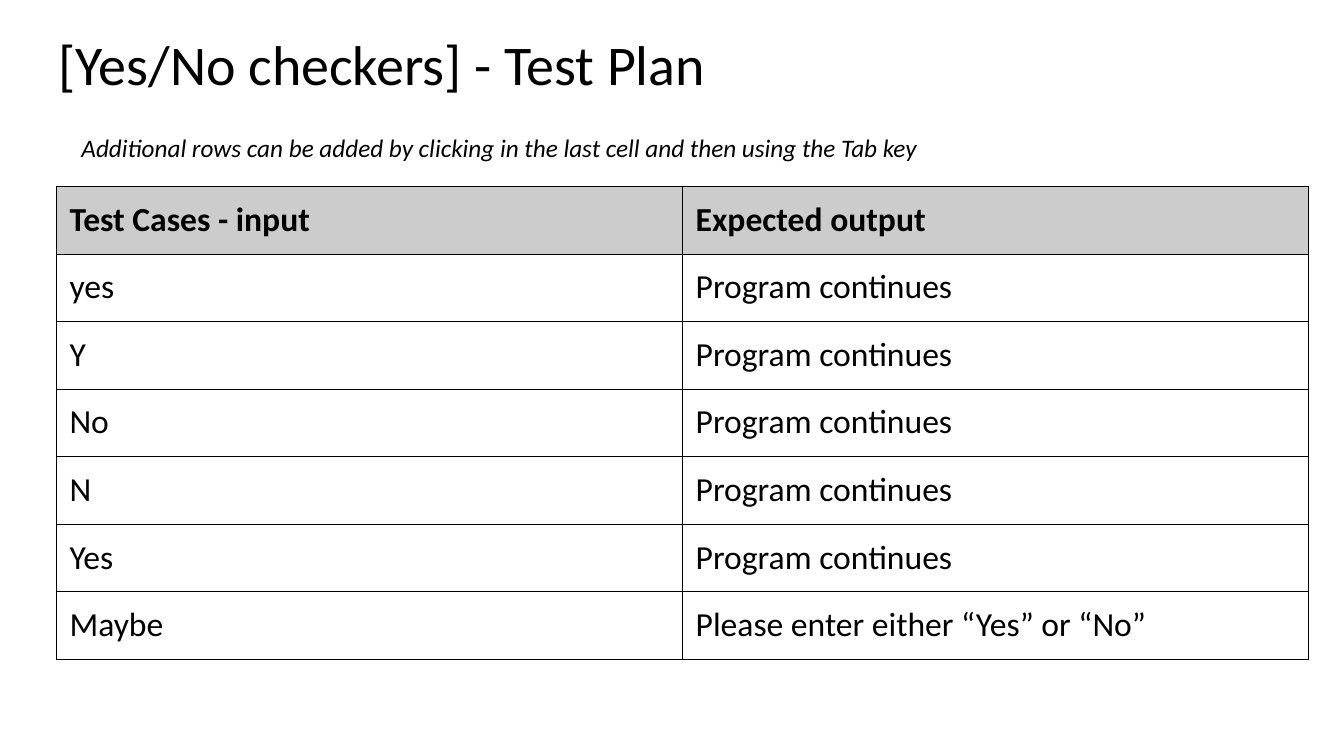
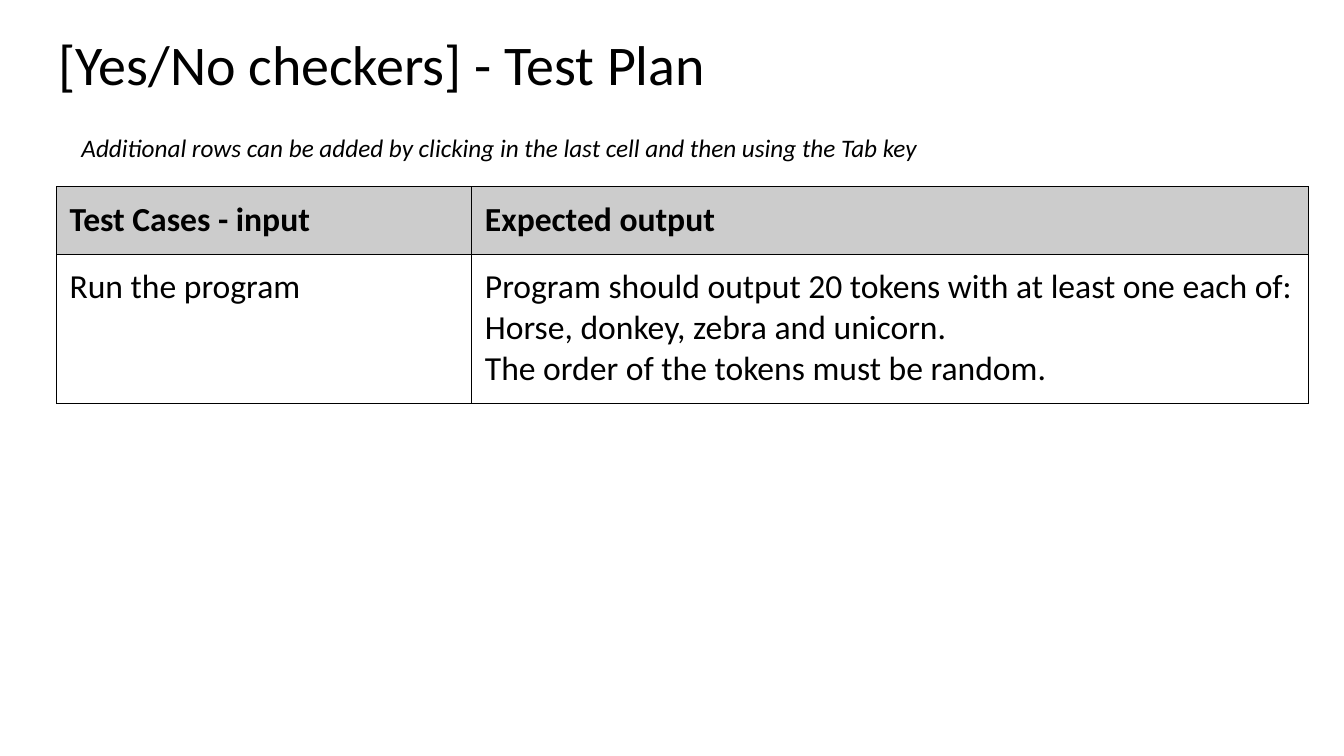
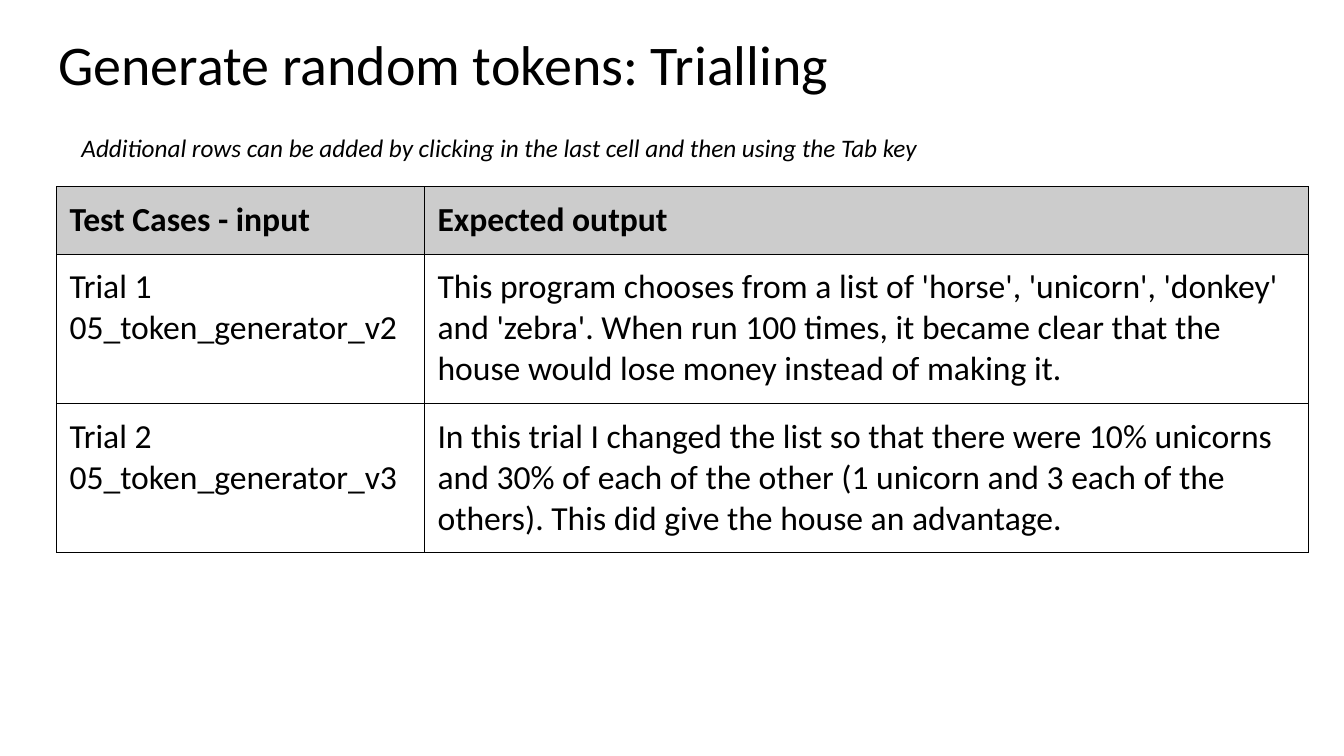
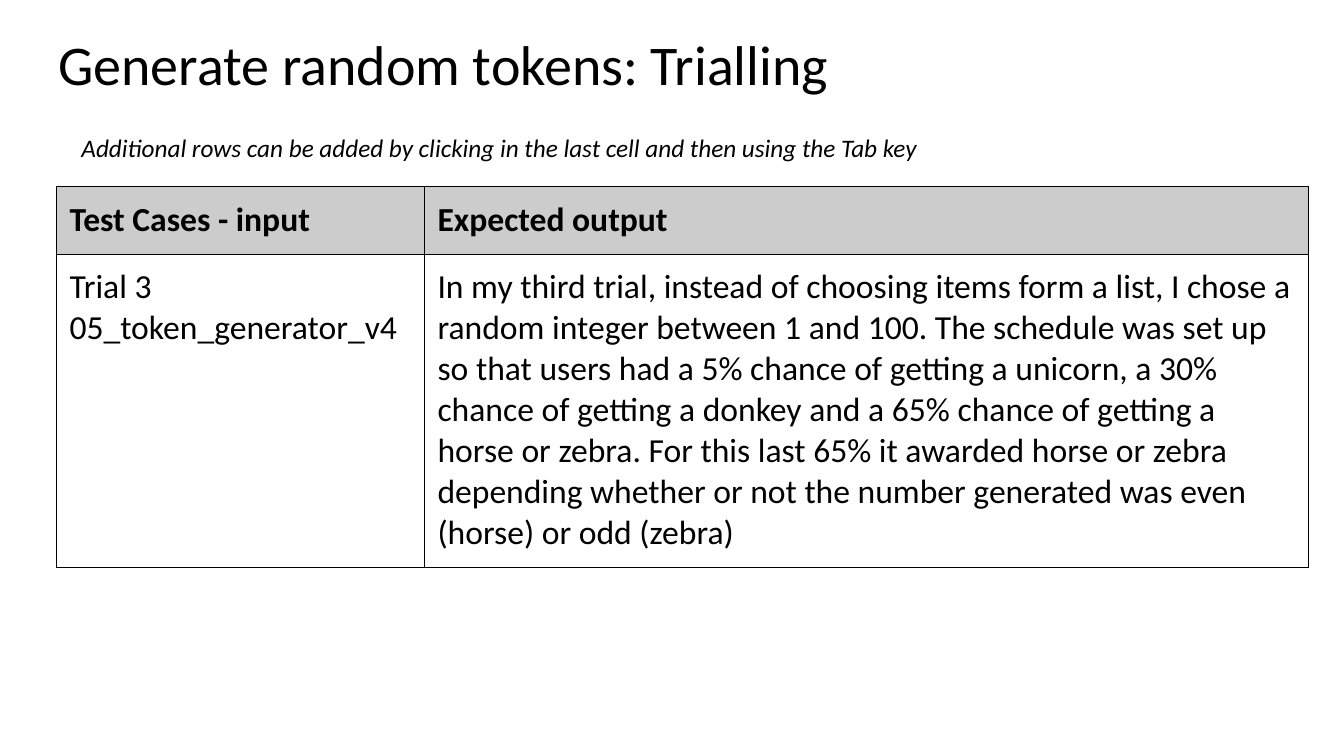
from dataclasses import dataclass

from pptx import Presentation
from pptx.dml.color import RGBColor
from pptx.enum.text import MSO_ANCHOR, MSO_AUTO_SIZE, PP_ALIGN
from pptx.oxml import parse_xml
from pptx.oxml.ns import nsdecls
from pptx.presentation import Presentation as Deck
from pptx.slide import Slide
from pptx.table import _Cell
from pptx.text.text import TextFrame
from pptx.util import Emu, Pt

TOP = MSO_ANCHOR.TOP
LEFT = PP_ALIGN.LEFT
FIT_SHAPE = MSO_AUTO_SIZE.SHAPE_TO_FIT_TEXT
NO_FIT = MSO_AUTO_SIZE.NONE
TITLE_ONLY = 5
EMU_PER_PX = 9144


@dataclass(frozen=True)
class Theme:
    font: str = "Calibri"
    text: RGBColor = RGBColor(0x00, 0x00, 0x00)
    header_fill: RGBColor = RGBColor(0xCC, 0xCC, 0xCC)
    border: str = "000000"
    border_pt: float = 0.75
    title_pt: int = 40
    hint_pt: int = 18
    cell_pt: int = 24


@dataclass(frozen=True)
class Box:
    left: int
    top: int
    width: int
    height: int


@dataclass(frozen=True)
class TestTable:
    title: str
    input_width: int
    row_height: int
    rows: tuple[tuple[str, str], ...]


THEME = Theme()
TITLE_BOX = Box(45, 24, 1242, 84)
HINT_BOX = Box(71, 126, 1094, 40)
TABLE_BOX = Box(56, 185, 1242, 67)
INSET = 13
HINT = "Additional rows can be added by clicking in the last cell and then using the Tab key"
HEADER = ("Test Cases - input", "Expected output")
CHECKERS = "[Yes/No checkers] - Test Plan"
TRIALLING = "Generate random tokens: Trialling"
CONTINUES = "Program continues"

TABLES = (
    TestTable(CHECKERS, 621, 67, (
        *((answer, CONTINUES) for answer in ("yes", "Y", "No", "N", "Yes")),
        ("Maybe", "Please enter either “Yes” or “No”"),
    )),
    TestTable(CHECKERS, 412, 148, (
        ("Run the program",
         "Program should output 20 tokens with at least one each of:\n"
         "Horse, donkey, zebra and unicorn.\n"
         "The order of the tokens must be random."),
    )),
    TestTable(TRIALLING, 365, 148, (
        ("Trial 1\n05_token_generator_v2",
         "This program chooses from a list of 'horse', 'unicorn', 'donkey' and 'zebra'. "
         "When run 100 times, it became clear that the house would lose money "
         "instead of making it."),
        ("Trial 2\n05_token_generator_v3",
         "In this trial I changed the list so that there were 10% unicorns and 30% of each "
         "of the other (1 unicorn and 3 each of the others). "
         "This did give the house an advantage."),
    )),
    TestTable(TRIALLING, 365, 310, (
        ("Trial 3\n05_token_generator_v4",
         "In my third trial, instead of choosing items form a list, I chose a random integer "
         "between 1 and 100. The schedule was set up so that users had a 5% chance of getting "
         "a unicorn, a 30% chance of getting a donkey and a 65% chance of getting a horse or "
         "zebra. For this last 65% it awarded horse or zebra depending whether or not the "
         "number generated was even (horse) or odd (zebra)"),
    )),
)


def px(n: int) -> Emu:
    return Emu(n * EMU_PER_PX)


def place(box: Box) -> tuple[Emu, Emu, Emu, Emu]:
    return px(box.left), px(box.top), px(box.width), px(box.height)


def write(tf: TextFrame, text: str, size: int, bold: bool = False, italic: bool = False) -> None:
    tf.text = text
    for p in tf.paragraphs:
        p.alignment = LEFT
        p.font.name = THEME.font
        p.font.size = Pt(size)
        p.font.bold = bold
        p.font.italic = italic
        p.font.color.rgb = THEME.text


def set_insets(target: TextFrame | _Cell) -> None:
    target.margin_left = target.margin_right = px(INSET)
    target.margin_top = target.margin_bottom = px(INSET)


def add_title(s: Slide, text: str) -> None:
    sp = s.shapes.title
    sp.left, sp.top, sp.width, sp.height = place(TITLE_BOX)
    tf = sp.text_frame
    write(tf, text, THEME.title_pt)
    tf.paragraphs[0].line_spacing = 0.9
    tf.vertical_anchor = TOP
    tf.auto_size = NO_FIT
    set_insets(tf)


def add_hint(s: Slide) -> None:
    tf = s.shapes.add_textbox(*place(HINT_BOX)).text_frame
    tf.word_wrap = True
    tf.auto_size = FIT_SHAPE
    write(tf, HINT, THEME.hint_pt, italic=True)


def add_borders(cell: _Cell) -> None:
    props = cell._tc.get_or_add_tcPr()
    for i, side in enumerate(("lnL", "lnR", "lnT", "lnB")):
        props.insert(i, parse_xml(
            f'<a:{side} {nsdecls("a")} w="{Pt(THEME.border_pt)}">'
            f'<a:solidFill><a:srgbClr val="{THEME.border}"/></a:solidFill></a:{side}>'
        ))


def format_cell(cell: _Cell, text: str, is_header: bool) -> None:
    write(cell.text_frame, text, THEME.cell_pt, bold=is_header)
    set_insets(cell)
    cell.vertical_anchor = TOP
    if is_header:
        cell.fill.solid()
        cell.fill.fore_color.rgb = THEME.header_fill
    else:
        cell.fill.background()
    add_borders(cell)


def add_test_table(s: Slide, plan: TestTable) -> None:
    rows = (HEADER, *plan.rows)
    table = s.shapes.add_table(len(rows), len(HEADER), *place(TABLE_BOX)).table
    table.first_row = table.horz_banding = False
    widths = (plan.input_width, TABLE_BOX.width - plan.input_width)
    for column, width in zip(table.columns, widths):
        column.width = px(width)
    for i, texts in enumerate(rows):
        table.rows[i].height = px(plan.row_height if i else TABLE_BOX.height)
        for j, text in enumerate(texts):
            format_cell(table.cell(i, j), text, is_header=i == 0)


def add_plan_slide(prs: Deck, plan: TestTable) -> None:
    s = prs.slides.add_slide(prs.slide_layouts[TITLE_ONLY])
    add_title(s, plan.title)
    add_test_table(s, plan)
    add_hint(s)


def main() -> None:
    prs = Presentation()
    prs.slide_width, prs.slide_height = px(1333), px(750)
    for plan in TABLES:
        add_plan_slide(prs, plan)
    prs.save("out.pptx")


if __name__ == "__main__":
    main()
